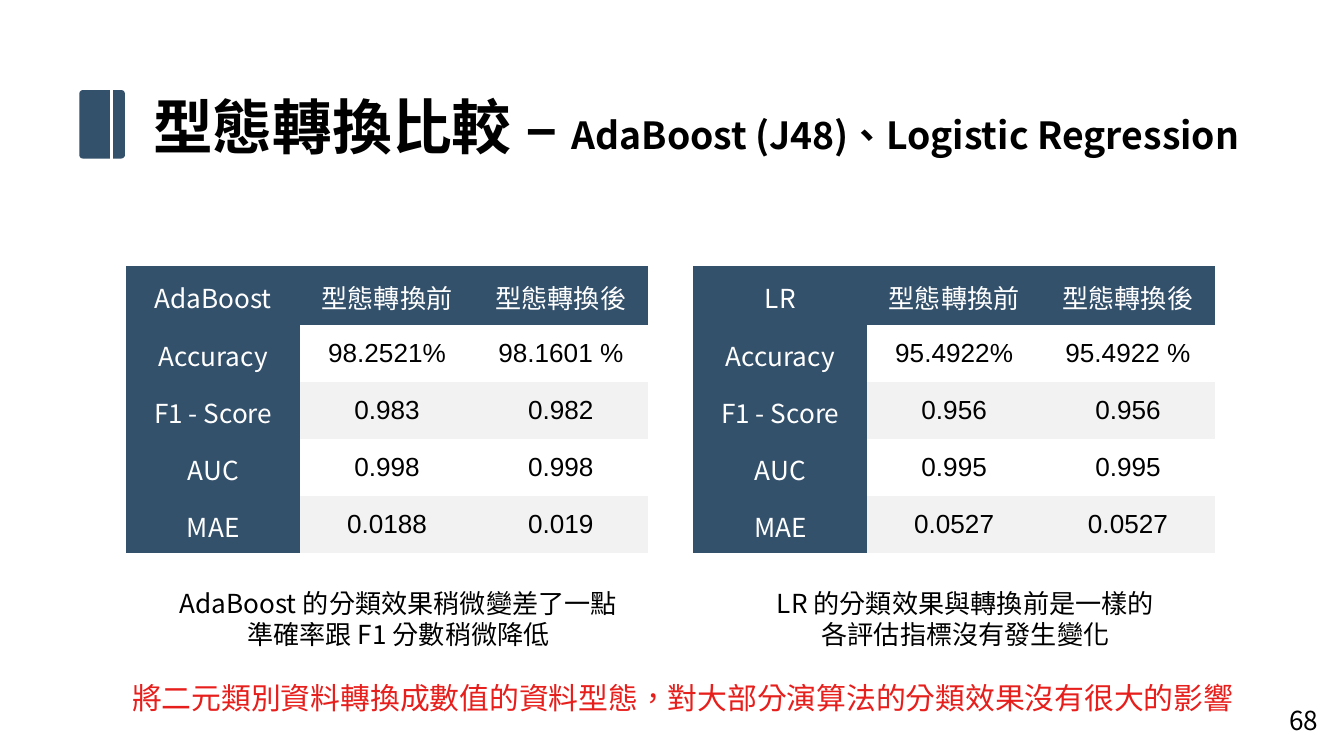
import pptx
import pptx.util
import pptx.dml.color
import pptx.enum.shapes
import pptx.enum.text
import pptx.oxml
import pptx.oxml.ns

Inch, Pt = pptx.util.Inches, pptx.util.Pt
Shape = pptx.enum.shapes.MSO_SHAPE
Align = pptx.enum.text.PP_ALIGN
Anchor = pptx.enum.text.MSO_ANCHOR
Fit = pptx.enum.text.MSO_AUTO_SIZE

# Content
TITLE = [("型態轉換比較 – ", "head"), ("AdaBoost (J48)、Logistic Regression", "sub")]
HEADS = ["型態轉換前", "型態轉換後"]
ROWS = ["Accuracy", "F1 - Score", "AUC", "MAE"]
PANELS = [
    {"name": "AdaBoost",
     "before": ["98.2521%", "0.983", "0.998", "0.0188"],
     "after": ["98.1601 %", "0.982", "0.998", "0.019"],
     "notes": ["AdaBoost 的分類效果稍微變差了一點", "準確率跟 F1 分數稍微降低"]},
    {"name": "LR",
     "before": ["95.4922%", "0.956", "0.995", "0.0527"],
     "after": ["95.4922 %", "0.956", "0.995", "0.0527"],
     "notes": ["LR 的分類效果與轉換前是一樣的", "各評估指標沒有發生變化"]},
]
CLOSING = "將二元類別資料轉換成數值的資料型態，對大部分演算法的分類效果沒有很大的影響"
PAGE = "68"

# Theme
NOTO, ARIAL = "Noto Sans CJK JP", "Arial"
THEME = {
    "navy": "34516C", "band": "F2F2F2", "white": "FFFFFF",
    "head": {"name": NOTO, "size": 32, "color": "000000", "bold": True},
    "sub": {"name": NOTO, "size": 20, "color": "000000", "bold": True},
    "label": {"name": NOTO, "size": 14, "color": "FFFFFF"},
    "value": {"name": ARIAL, "size": 14, "color": "000000"},
    "note": {"name": NOTO, "size": 14, "color": "000000"},
    "alert": {"name": NOTO, "size": 16, "color": "E71F1C"},
}
PLAIN = "{2D5ABB26-0587-4C30-8999-92F81FD0307C}"  # table style without grid

# Grid
WIDE = 10
HIGH = WIDE * 9 / 16
LEFT, TOP, SPAN, STEP = 0.94, 1.98, 3.88, 4.22
HEAD_ROW, BODY_ROW = 0.44, 0.42
NOTE_TOP, END_TOP = 4.32, 5.01


def rgb(code):
    return pptx.dml.color.RGBColor.from_string(code)


def put(obj, fmt):
    for key, val in fmt.items():
        setattr(obj, key, val)


def write(par, text, look):
    run = par.add_run()
    run.text = text
    fmt = dict(THEME[look])
    run.font.color.rgb = rgb(fmt.pop("color"))
    put(run.font, {**fmt, "size": Pt(fmt["size"])})
    props = run.font._element
    props.set("lang", "en-US")
    props.set("altLang", "zh-TW")
    if not text.isascii():
        props.set("lang", "zh-TW")
    props.append(pptx.oxml.parse_xml(
        '<a:ea %s typeface="%s"/>' % (pptx.oxml.ns.nsdecls("a"), fmt["name"])))


def note(slide, place, lines, look, indent=0.17):
    box = slide.shapes.add_textbox(*map(Inch, place))
    frame = box.text_frame
    put(frame, {"word_wrap": True, "auto_size": Fit.NONE})
    for i, text in enumerate(lines):
        par = frame.add_paragraph() if i else frame.paragraphs[0]
        par._p.get_or_add_pPr().set("marL", str(Inch(indent)))
        par.alignment = Align.CENTER
        write(par, text, look)


def grid(slide, left, panel):
    rows = [[panel["name"], *HEADS], *zip(ROWS, panel["before"], panel["after"])]
    high = HEAD_ROW + BODY_ROW * len(ROWS)
    frame = slide.shapes.add_table(
        len(rows), len(rows[0]), *map(Inch, (left, TOP, SPAN, high)))
    table = frame.table
    table._tbl.tblPr.find(pptx.oxml.ns.qn("a:tableStyleId")).text = PLAIN
    put(table, {"first_row": False, "horz_banding": False})
    for col in table.columns:
        col.width = Inch(SPAN / len(rows[0]))
    for r, row in enumerate(rows):
        table.rows[r].height = Inch(BODY_ROW if r else HEAD_ROW)
        for c, text in enumerate(row):
            cell = table.cell(r, c)
            edge = r == 0 or c == 0
            sides = ("left", "top", "right", "bottom")
            put(cell, {"margin_" + side: Inch(0.08) for side in sides})
            if edge:  # tall label font must fit the row
                cell.margin_bottom = Inch(0.06)
            cell.vertical_anchor = Anchor.MIDDLE
            if edge or r % 2 == 0:
                cell.fill.solid()
                cell.fill.fore_color.rgb = rgb(THEME["navy" if edge else "band"])
            else:
                cell.fill.background()
            par = cell.text_frame.paragraphs[0]
            par.alignment = Align.CENTER
            write(par, text, "label" if edge else "value")


def main():
    deck = pptx.Presentation()
    put(deck, {"slide_width": Inch(WIDE), "slide_height": Inch(HIGH)})
    slide = deck.slides.add_slide(deck.slide_layouts[5])

    # Title
    title = slide.shapes.title
    put(title, {"left": Inch(1.04), "top": Inch(0.62),
                "width": Inch(8.41), "height": Inch(0.64)})
    put(title.text_frame, {"word_wrap": True, "auto_size": Fit.NONE,
                           "vertical_anchor": Anchor.TOP})
    par = title.text_frame.paragraphs[0]
    par.alignment = Align.LEFT
    for text, look in TITLE:
        write(par, text, look)

    # Title marker, split by a white line
    mark = slide.shapes.add_shape(
        Shape.ROUNDED_RECTANGLE, *map(Inch, (0.59, 0.67, 0.34, 0.51)))
    mark.adjustments[0] = 0.08
    mark.shadow.inherit = False
    mark.fill.solid()
    mark.fill.fore_color.rgb = rgb(THEME["navy"])
    mark.line.fill.background()
    split = slide.shapes.add_connector(
        pptx.enum.shapes.MSO_CONNECTOR.STRAIGHT, *map(Inch, (0.83, 0.6, 0.83, 1.28)))
    split.line.color.rgb = rgb(THEME["white"])
    split.line.width = Pt(2)
    split._element.spPr.append(pptx.oxml.parse_xml(
        "<a:effectLst %s/>" % pptx.oxml.ns.nsdecls("a")))

    # Tables with their notes
    for i, panel in enumerate(PANELS):
        left = LEFT + i * STEP
        grid(slide, left, panel)
        note(slide, (left, NOTE_TOP, SPAN, 0.57), panel["notes"], "note")

    # Conclusion and page number
    note(slide, (0, END_TOP, WIDE, 0.37), [CLOSING], "alert")
    note(slide, (WIDE - 0.6, HIGH - 0.43, 0.6, 0.43), [PAGE], "note", 0)

    deck.save("out.pptx")


if __name__ == "__main__":
    main()
